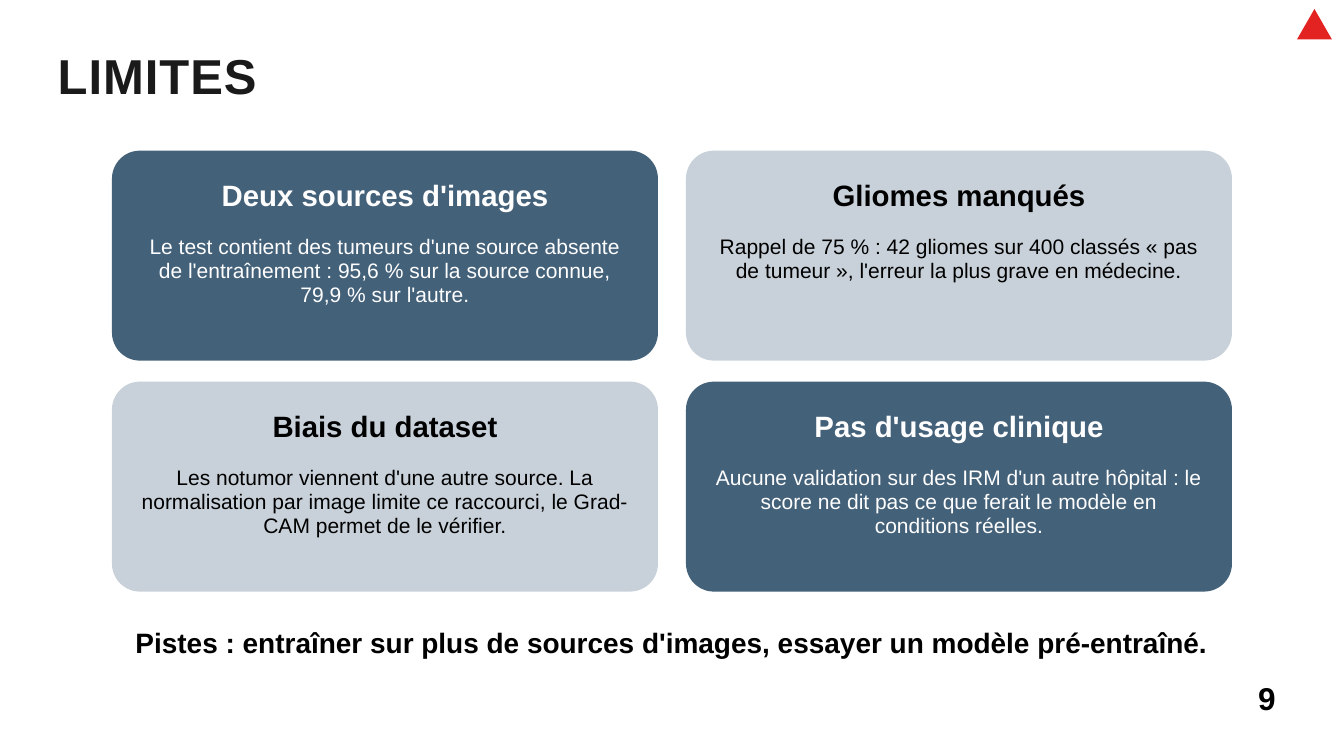
from dataclasses import dataclass

from pptx import Presentation
from pptx import util as u
from pptx.dml.color import RGBColor
from pptx.enum import shapes, text

COLS, ROWS = 48, 27
UNIT = u.Inches(20) / COLS  # square grid cell


@dataclass(frozen=True)
class Theme:
    font: str = "Arial"
    title_ink: str = "1A1A1A"
    ink: str = "000000"
    light_ink: str = "FEFEFE"
    dark: str = "44617A"
    pale: str = "C8D1D9"
    accent: str = "E32222"
    title: float = 52.5
    number: float = 33.8
    heading: float = 31.5
    outlook: float = 30
    body: float = 22.5
    leading: float = 1.15


THEME = Theme()

CARDS = [
    ("Deux sources d'images",
     "Le test contient des tumeurs d'une source absente de l'entraînement : "
     "95,6 % sur la source connue, 79,9 % sur l'autre."),
    ("Gliomes manqués",
     "Rappel de 75 % : 42 gliomes sur 400 classés « pas de tumeur », "
     "l'erreur la plus grave en médecine."),
    ("Biais du dataset",
     "Les notumor viennent d'une autre source. La normalisation par image "
     "limite ce raccourci, le Grad-CAM permet de le vérifier."),
    ("Pas d'usage clinique",
     "Aucune validation sur des IRM d'un autre hôpital : le score ne dit pas "
     "ce que ferait le modèle en conditions réelles."),
]


def emu(box):
    """Turn a box in grid columns and rows into slide lengths."""
    return [u.Emu(round(n * UNIT)) for n in box]


def write(sp, words, size, color, bold=True, align=text.PP_ALIGN.CENTER):
    tf = sp.text_frame
    tf.word_wrap = True
    tf.auto_size = text.MSO_AUTO_SIZE.NONE
    tf.vertical_anchor = text.MSO_ANCHOR.TOP
    tf.margin_left = tf.margin_right = tf.margin_top = tf.margin_bottom = 0
    p = tf.paragraphs[0]
    p.text = words
    p.alignment = align
    p.line_spacing = u.Pt(round(size * THEME.leading, 1))
    p.font.name = THEME.font
    p.font.size = u.Pt(size)
    p.font.bold = bold
    p.font.color.rgb = RGBColor.from_string(color)


def add_text(s, box, words, size, color, bold=True):
    write(s.shapes.add_textbox(*emu(box)), words, size, color, bold)


def add_filled(s, kind, box, color):
    sp = s.shapes.add_shape(kind, *emu(box))
    sp.shadow.inherit = False
    sp.fill.solid()
    sp.fill.fore_color.rgb = RGBColor.from_string(color)
    sp.line.fill.background()
    return sp


def add_title(s, box, words):
    sp = s.shapes.title
    sp.left, sp.top, sp.width, sp.height = emu(box)
    write(sp, words, THEME.title, THEME.title_ink, align=text.PP_ALIGN.LEFT)
    r = sp.text_frame.paragraphs[0].runs[0]
    r.font._element.set("spc", "110")


def add_card(s, box, heading, body, is_dark):
    x, y, w, h = box
    pad = 1
    fill, ink = (THEME.dark, THEME.light_ink) if is_dark else (THEME.pale, THEME.ink)
    card = add_filled(s, shapes.MSO_SHAPE.ROUNDED_RECTANGLE, box, fill)
    card.adjustments[0] = pad / h
    inner = w - 2 * pad
    add_text(s, (x + pad, y + pad, inner, 1.25), heading, THEME.heading, ink)
    add_text(s, (x + pad, y + 3 * pad, inner, 2.6), body, THEME.body, ink, bold=False)


def add_card_grid(s, box, cards, col_gap=1, row_gap=0.75):
    """Lay cards out two by two, in alternating dark and pale fills."""
    x, y, w, h = box
    card_w, card_h = (w - col_gap) / 2, (h - row_gap) / 2
    for i, (heading, body) in enumerate(cards):
        row, col = divmod(i, 2)
        place = (x + col * (card_w + col_gap), y + row * (card_h + row_gap),
                 card_w, card_h)
        add_card(s, place, heading, body, is_dark=row == col)


def build_limits_slide(prs):
    s = prs.slides.add_slide(prs.slide_layouts[5])
    add_title(s, (2.06, 1.7, 19.44, 2.04), "LIMITES")
    add_card_grid(s, (4, 5.38, COLS - 8, 15.75), CARDS)
    add_text(s, (4.68, 22.39, 38.62, 1.18),
             "Pistes : entraîner sur plus de sources d'images, "
             "essayer un modèle pré-entraîné.", THEME.outlook, THEME.ink)
    add_text(s, (44.5, 24.29, 1.49, 1.32), "9", THEME.number, THEME.ink)
    add_filled(s, shapes.MSO_SHAPE.ISOSCELES_TRIANGLE,
               (46.32, 0.32, 1.25, 1.09), THEME.accent)


def main():
    prs = Presentation()
    prs.slide_width, prs.slide_height = emu((COLS, ROWS))
    build_limits_slide(prs)
    prs.save("out.pptx")


if __name__ == "__main__":
    main()
